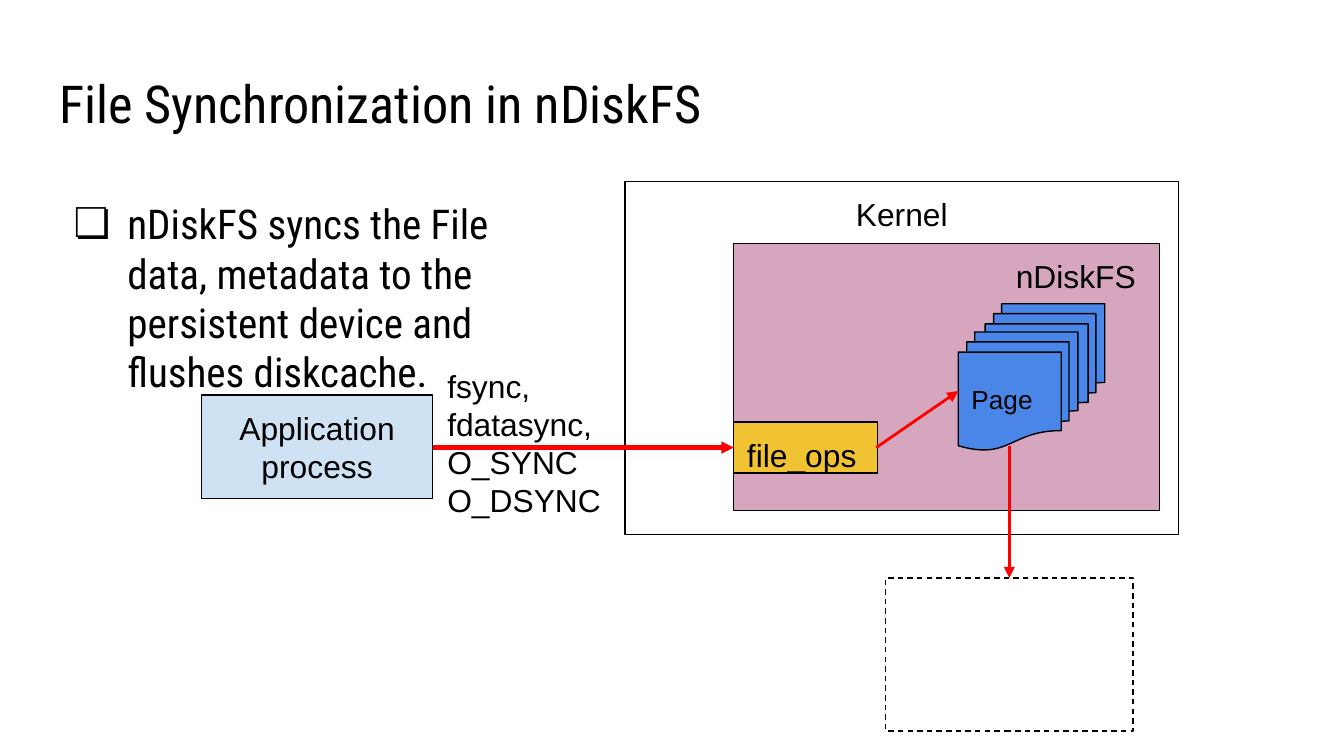
from lxml import etree
from pptx import Presentation
from pptx.dml.color import RGBColor
from pptx.enum.dml import MSO_LINE
from pptx.enum.shapes import MSO_CONNECTOR, MSO_SHAPE
from pptx.enum.text import MSO_ANCHOR, PP_ALIGN
from pptx.oxml.ns import qn
from pptx.util import Pt

SCALE = 9144  # EMU in one px; 100 px make an inch
TITLE_ONLY = 5
RECT, STACK = MSO_SHAPE.RECTANGLE, MSO_SHAPE.FLOWCHART_MULTIDOCUMENT
STRAIGHT, DASH = MSO_CONNECTOR.STRAIGHT, MSO_LINE.DASH
TOP, MIDDLE, BOTTOM = MSO_ANCHOR.TOP, MSO_ANCHOR.MIDDLE, MSO_ANCHOR.BOTTOM
LEFT, CENTER = PP_ALIGN.LEFT, PP_ALIGN.CENTER
HEADING_FONT, LABEL_FONT = "Roboto Condensed", "Arial"
BLACK, RED, BLUE = "000000", "FF0000", "4A86E8"
PINK, YELLOW, PALE_BLUE = "D5A6BD", "F1C232", "CFE2F3"


def px(*lengths):
    return [round(length * SCALE) for length in lengths]


def color(value):
    return RGBColor.from_string(value)


def write(shape, text, size=17, font=LABEL_FONT, align=LEFT, anchor=TOP):
    frame = shape.text_frame
    frame.text = text
    frame.word_wrap = True
    frame.vertical_anchor = anchor
    frame.margin_left, frame.margin_top, frame.margin_right, frame.margin_bottom = px(10, 10, 10, 10)
    for para in frame.paragraphs:
        para.alignment = align
        for span in para.runs:
            span.font.size = Pt(size)
            span.font.name = font
            span.font.color.rgb = color(BLACK)


def indent(para, margin, first_line=0):
    properties = para._p.get_or_add_pPr()
    for name, length in zip(("marL", "indent"), px(margin, first_line)):
        properties.set(name, str(length))
    return properties


def add_box(page, box, fill=None, kind=RECT):
    shape = page.shapes.add_shape(kind, *px(*box))
    shape.shadow.inherit = False
    if fill:
        shape.fill.solid()
        shape.fill.fore_color.rgb = color(fill)
    else:
        shape.fill.background()
    shape.line.color.rgb = color(BLACK)
    shape.line.width = Pt(0.75)
    return shape


def add_arrow(page, start, end, width=1.5):
    arrow = page.shapes.add_connector(STRAIGHT, *px(*start, *end))
    arrow.line.color.rgb = color(RED)
    arrow.line.width = Pt(width)
    etree.SubElement(arrow.line._get_or_add_ln(), qn("a:tailEnd"), type="triangle")
    etree.SubElement(arrow._element.spPr, qn("a:effectLst"))


def set_title(page, box):
    title = page.shapes.title
    title.left, title.top, title.width, title.height = px(*box)
    write(title, "File Synchronization in nDiskFS", 28, HEADING_FONT, anchor=BOTTOM)


def draw_kernel(page, box):
    left, top, width, height = box
    write(add_box(page, box), "Kernel", align=CENTER)

    file_system = add_box(page, (left + 81, top + 46, width - 95, height - 64), PINK)
    write(file_system, "nDiskFS")
    indent(file_system.text_frame.paragraphs[0], 200)

    add_box(page, (left + 268, top + 91, 89, 88), BLUE, STACK)
    pages = add_box(page, (left + 248, top + 112, 89, 88), BLUE, STACK)
    write(pages, "Page", 14, anchor=MIDDLE)

    write(add_box(page, (left + 81, top + 179, 107, 38), YELLOW), "file_ops")
    add_arrow(page, (left + 187, top + 198), (left + 248, top + 156))


def draw_device(page, box):
    """Draw the dashed device and the arrow that comes down to it."""
    left, top, width, _ = box
    add_box(page, box).line.dash_style = DASH
    middle = left + width // 2
    add_arrow(page, (middle, top - 98), (middle, top))


def draw_application(page, box):
    """Draw the process, its system calls and the arrow to the kernel."""
    left, top, width, height = box
    calls = page.shapes.add_textbox(*px(left + width + 1, top - 59, 163, 161))
    write(calls, "fsync,\nfdatasync,\nO_SYNC\nO_DSYNC", anchor=BOTTOM)
    write(add_box(page, box, PALE_BLUE), "Application\nprocess", align=CENTER, anchor=MIDDLE)
    start, level = left + width, top + 39
    add_arrow(page, (start, level), (start + 224, level), 2.25)


def add_summary(page, box):
    summary = page.shapes.add_textbox(*px(*box))
    text = "nDiskFS syncs the File data, metadata to the persistent device and flushes diskcache."
    write(summary, text, 22, HEADING_FONT)
    properties = indent(summary.text_frame.paragraphs[0], 50, -40)
    bullet_color = etree.SubElement(properties, qn("a:buClr"))
    etree.SubElement(bullet_color, qn("a:srgbClr"), val=BLACK)
    etree.SubElement(properties, qn("a:buFont"), typeface=HEADING_FONT)
    etree.SubElement(properties, qn("a:buChar"), char="❏")


def main():
    deck = Presentation()
    deck.slide_width, deck.slide_height = px(1000, 562.5)
    page = deck.slides.add_slide(deck.slide_layouts[TITLE_ONLY])
    set_title(page, (34, -4, 932, 114))
    draw_kernel(page, (465, 135, 412, 263))
    draw_device(page, (659, 430, 184, 114))
    draw_application(page, (150, 294, 172, 77))
    add_summary(page, (35, 138, 403, 128))
    deck.save("out.pptx")


if __name__ == "__main__":
    main()
